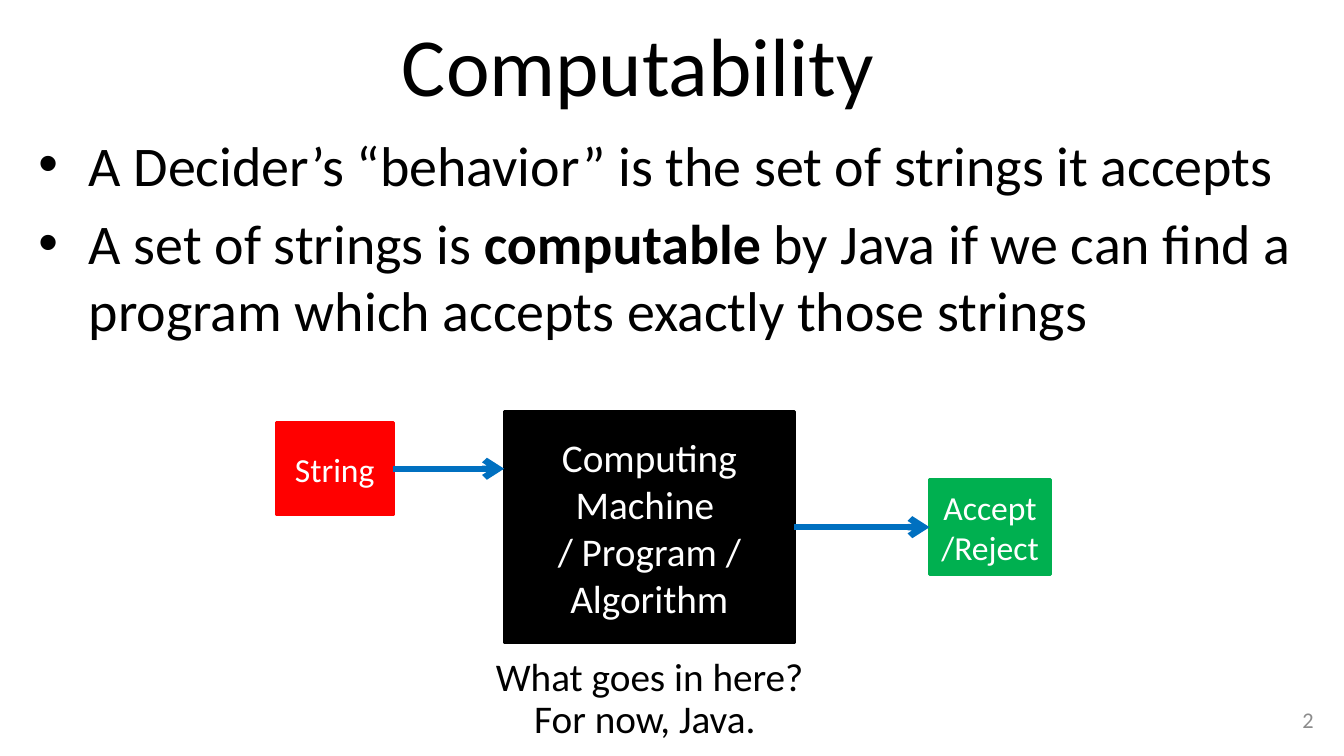
from dataclasses import dataclass
from lxml.etree import SubElement
from pptx import Presentation
from pptx.dml.color import RGBColor
from pptx.enum.shapes import MSO_CONNECTOR as Connector, MSO_SHAPE as Shape
from pptx.enum.text import MSO_ANCHOR as Anchor, PP_ALIGN as Align
from pptx.oxml.ns import qn
from pptx.util import Inches, Pt

COLORS = {
    "black": "000000", "white": "FFFFFF", "gray": "8C8C8C",
    "red": "FF0000", "green": "00B050", "blue": "0070C0",
}
FONT = "Calibri"
TOP, LEFT, BOTTOM, RIGHT = range(4)  # connection sites of a rectangle


@dataclass
class Label:
    text: str
    left: float
    top: float
    width: float
    height: float
    size: float
    color: str = "black"
    align: Align = Align.LEFT
    anchor: Anchor = Anchor.TOP
    inset_x: float = 0.1
    inset_y: float = 0.05


@dataclass
class Block:
    text: str
    left: float
    top: float
    width: float
    height: float
    size: float
    fill: str


def color(name: str) -> RGBColor:
    return RGBColor.from_string(COLORS[name])


def style(font, size: float, name: str) -> None:
    font.name, font.size = FONT, Pt(size)
    font.color.rgb = color(name)


def add_label(page, label: Label):
    box = page.shapes.add_textbox(
        *map(Inches, (label.left, label.top, label.width, label.height)))
    frame = box.text_frame
    frame.word_wrap = True
    frame.vertical_anchor = label.anchor
    frame.margin_left = frame.margin_right = Inches(label.inset_x)
    frame.margin_top = frame.margin_bottom = Inches(label.inset_y)
    frame.text = label.text
    for para in frame.paragraphs:
        para.alignment = label.align
        for span in para.runs:
            style(span.font, label.size, label.color)
    return box


def add_block(page, block: Block):
    shape = page.shapes.add_shape(
        Shape.RECTANGLE,
        *map(Inches, (block.left, block.top, block.width, block.height)))
    shape.shadow.inherit = False
    shape.fill.solid()
    shape.fill.fore_color.rgb = color(block.fill)
    shape.line.color.rgb = color(block.fill)
    shape.line.width = Pt(2)
    frame = shape.text_frame
    frame.word_wrap = True
    frame.vertical_anchor = Anchor.MIDDLE
    frame.text = block.text
    for para in frame.paragraphs:
        para.alignment = Align.CENTER
        for span in para.runs:
            style(span.font, block.size, "white")
    return shape


def add_arrow(page, start: float, end: float, y: float):
    arrow = page.shapes.add_connector(
        Connector.STRAIGHT, Inches(start), Inches(y), Inches(end), Inches(y))
    arrow.line.color.rgb = color("blue")
    arrow.line.width = Pt(4.5)
    SubElement(arrow.line._get_or_add_ln(), qn("a:tailEnd"), type="arrow")
    SubElement(arrow._element.spPr, qn("a:effectLst"))
    return arrow


def add_bullets(page, points: list[list[tuple[str, bool]]]) -> None:
    box = add_label(page, Label("", 0.25, 1.22, 12.75, 4.95, 40,
                                inset_x=0.13, inset_y=0.07))
    frame = box.text_frame
    for index, point in enumerate(points):
        para = frame.add_paragraph() if index else frame.paragraphs[0]
        props = para._p.get_or_add_pPr()
        props.set("marL", str(Inches(0.5)))
        props.set("indent", str(Inches(-0.5)))
        SubElement(props, qn("a:buFont"), typeface="Arial")
        SubElement(props, qn("a:buChar"), char="•")
        if index:
            para.space_before = Pt(8)
        for text, bold in point:
            span = para.add_run()
            span.text = text
            style(span.font, 40, "black")
            span.font.bold = bold


def main() -> None:
    deck = Presentation()
    deck.slide_width, deck.slide_height = Inches(13.33), Inches(7.5)
    page = deck.slides.add_slide(deck.slide_layouts[6])

    # Title, bullets and page number
    add_label(page, Label("Computability", 0.5, 0, 11.66, 1.25, 59,
                          align=Align.CENTER, anchor=Anchor.MIDDLE,
                          inset_x=0.13, inset_y=0.07))
    add_bullets(page, [
        [("A Decider’s “behavior” is the set of strings it accepts", False)],
        [("A set of strings is ", False), ("computable", True),
         (" by Java if we can find a program which accepts exactly "
          "those strings", False)],
    ])
    add_label(page, Label("2", 10.83, 6.94, 2.33, 0.4, 16, "gray",
                          Align.RIGHT, Anchor.MIDDLE, 0.13, 0.07))

    # Input, machine and output
    machine = add_block(page, Block(
        "Computing Machine \n/ Program / Algorithm",
        5, 4.08, 2.88, 2.3, 28, "black"))
    source = add_block(page, Block(
        "String", 2.74, 4.19, 1.16, 0.92, 24, "red"))
    verdict = add_block(page, Block(
        "Accept/Reject", 9.22, 4.76, 1.2, 0.94, 24, "green"))

    # Arrows between the blocks
    feed = add_arrow(page, 3.9, 5, 4.65)
    feed.begin_connect(source, RIGHT)
    answer = add_arrow(page, 7.88, 9.22, 5.23)
    answer.begin_connect(machine, RIGHT)
    answer.end_connect(verdict, LEFT)

    # Question under the machine
    for label in (
        Label("What goes in here?", 4.82, 6.42, 3.38, 0.57, 28),
        Label("For now, Java.", 5.2, 6.84, 3.38, 0.57, 28),
    ):
        add_label(page, label)

    deck.save("out.pptx")


if __name__ == "__main__":
    main()
